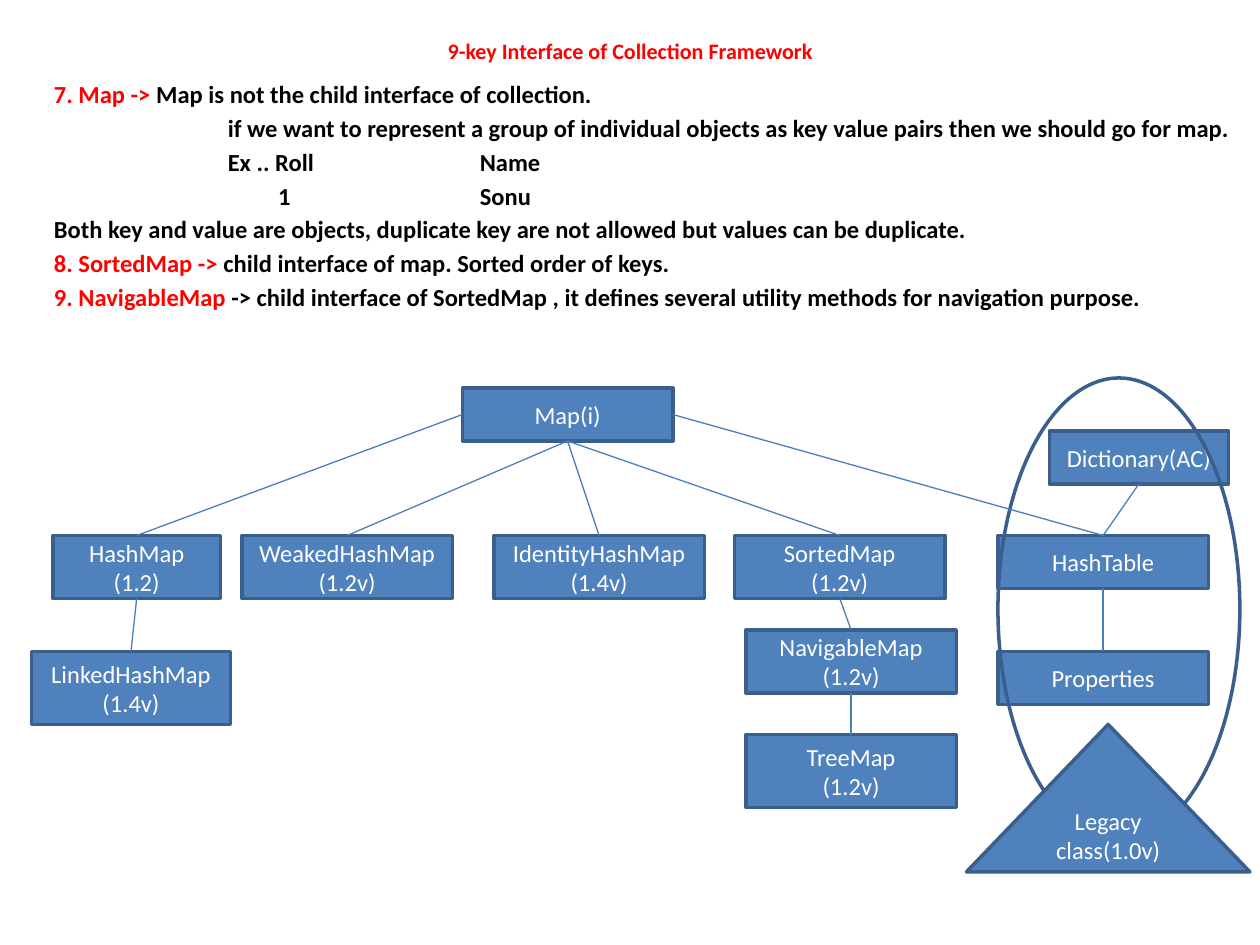
import pptx
import pptx.util
import pptx.dml.color
import pptx.enum.shapes
import pptx.enum.text
import pptx.oxml
import pptx.oxml.ns
from lxml import etree

Inches, Pt = pptx.util.Inches, pptx.util.Pt
Color = pptx.dml.color.RGBColor
Kind = pptx.enum.shapes.MSO_SHAPE
Align = pptx.enum.text.PP_ALIGN
Anchor = pptx.enum.text.MSO_ANCHOR
qn = pptx.oxml.ns.qn

RED = Color(0xFF, 0, 0)
BLACK = Color(0, 0, 0)
WHITE = Color(0xFF, 0xFF, 0xFF)
BLUE = Color(0x4F, 0x81, 0xBD)
EDGE = Color(0x3A, 0x5F, 0x8C)
LINK = Color(0x4B, 0x7E, 0xBC)

# Connection sites of a rectangle
TOP, LEFT, BOTTOM, RIGHT = range(4)


class Sheet:
    face = "Calibri"
    size = 14

    def __init__(self, deck):
        self.slide = deck.slides.add_slide(deck.slide_layouts[6])
        self.items = self.slide.shapes

    def style(self, para, color, size=None, bold=False):
        font = para.font
        font.name, font.size, font.bold = self.face, Pt(size or self.size), bold
        font.color.rgb = color

    def text(self, x, y, w, h):
        frame = self.items.add_textbox(*map(Inches, (x, y, w, h))).text_frame
        frame.word_wrap = True
        return frame

    def title(self, words, *area):
        frame = self.text(*area)
        frame.vertical_anchor = Anchor.MIDDLE
        para = frame.paragraphs[0]
        para.text, para.alignment = words, Align.CENTER
        self.style(para, RED, 12.6, True)

    def body(self, rows, stops, *area):
        frame = self.text(*area)
        for i, (head, rest) in enumerate(rows):
            para = frame.paragraphs[0] if i == 0 else frame.add_paragraph()
            para.space_before = Pt(2.5)
            self.style(para, BLACK, bold=True)
            if head:
                run = para.add_run()
                run.text, run.font.color.rgb = head, RED
            para.add_run().text = rest
            if "\t" in rest:
                self.tabs(para, stops)

    def tabs(self, para, stops):
        props = para._p.get_or_add_pPr()
        tabs = etree.Element(qn("a:tabLst"))
        for stop in stops:
            etree.SubElement(tabs, qn("a:tab"), pos=str(Inches(stop)), algn="l")
        props.find(qn("a:defRPr")).addprevious(tabs)

    def shape(self, words, x, y, w, h, kind=Kind.RECTANGLE, fill=BLUE):
        item = self.items.add_shape(kind, *map(Inches, (x, y, w, h)))
        item.shadow.inherit = False
        if fill is None:
            item.fill.background()
        else:
            item.fill.solid()
            item.fill.fore_color.rgb = fill
        item.line.color.rgb, item.line.width = EDGE, Pt(2)
        if words:
            frame = item.text_frame
            frame.text, frame.word_wrap = words, True
            frame.vertical_anchor = Anchor.MIDDLE
            for para in frame.paragraphs:
                para.alignment = Align.CENTER
                self.style(para, WHITE)
        return item

    def link(self, start, end, side=BOTTOM):
        line = self.items.add_connector(
            pptx.enum.shapes.MSO_CONNECTOR.STRAIGHT, 0, 0, 0, 0)
        line.begin_connect(start, side)
        line.end_connect(end, TOP)
        line.line.color.rgb, line.line.width = LINK, Pt(0.75)
        etree.SubElement(line._element.spPr, qn("a:effectLst"))


deck = pptx.Presentation()
deck.slide_width, deck.slide_height = Inches(10), Inches(7.5)
sheet = Sheet(deck)

# Heading and notes on each interface
sheet.title("9-key Interface of Collection Framework", 0.5, 0.3, 9, 0.2)
sheet.body([
    ("7. Map -> ", "Map is not the child interface of collection."),
    ("", "\tif we want to represent a group of individual objects as key "
         "value pairs then we should go for map."),
    ("", "\tEx .. Roll\tName"),
    ("", "\t\t1\tSonu"),
    ("", "Both key and value are objects, duplicate key are not allowed "
         "but values can be duplicate."),
    ("8. SortedMap -> ", "child interface of map. Sorted order of keys."),
    ("9. NavigableMap ", "-> child interface of SortedMap , it defines "
                         "several utility methods for navigation purpose."),
], (1.38, 1.78, 3.38), 0.33, 0.58, 9.67, 6.75)

# Boxes of the map family
WIDE, ROW = 1.67, 4.25
root = sheet.shape("Map(i)", 3.67, 3.08, WIDE, 0.42)
weak = sheet.shape("WeakedHashMap\n(1.2v)", 1.92, ROW, WIDE, 0.5)
ident = sheet.shape("IdentityHashMap\n(1.4v)", 3.92, ROW, WIDE, 0.5)
dic = sheet.shape("Dictionary(AC)", 8.33, 3.42, 1.42, 0.42)
linked = sheet.shape("LinkedHashMap\n(1.4v)", 0.25, 5.17, 1.58, 0.58)
hashed = sheet.shape("HashMap\n(1.2)", 0.42, ROW, 1.33, 0.5)
sort = sheet.shape("SortedMap\n(1.2v)", 5.83, ROW, WIDE, 0.5)
table = sheet.shape("HashTable", 7.92, ROW, WIDE, 0.42)
props = sheet.shape("Properties", 7.92, 5.17, WIDE, 0.42)
tree = sheet.shape("TreeMap\n(1.2v)", 5.92, 5.83, WIDE, 0.58)
nav = sheet.shape("NavigableMap\n(1.2v)", 5.92, 5, WIDE, 0.5)

# Legacy group
sheet.shape("", 7.92, 3, 1.92, 3.67, Kind.OVAL, None)
sheet.shape("Legacy class(1.0v)", 7.67, 5.75, 2.25, 1.17,
            Kind.ISOSCELES_TRIANGLE)

# Links from parent to child
sheet.link(root, hashed, LEFT)
sheet.link(root, table, RIGHT)
for start, end in [(hashed, linked), (root, weak), (root, ident),
                   (root, sort), (sort, nav), (nav, tree), (dic, table),
                   (table, props)]:
    sheet.link(start, end)

deck.save("out.pptx")
